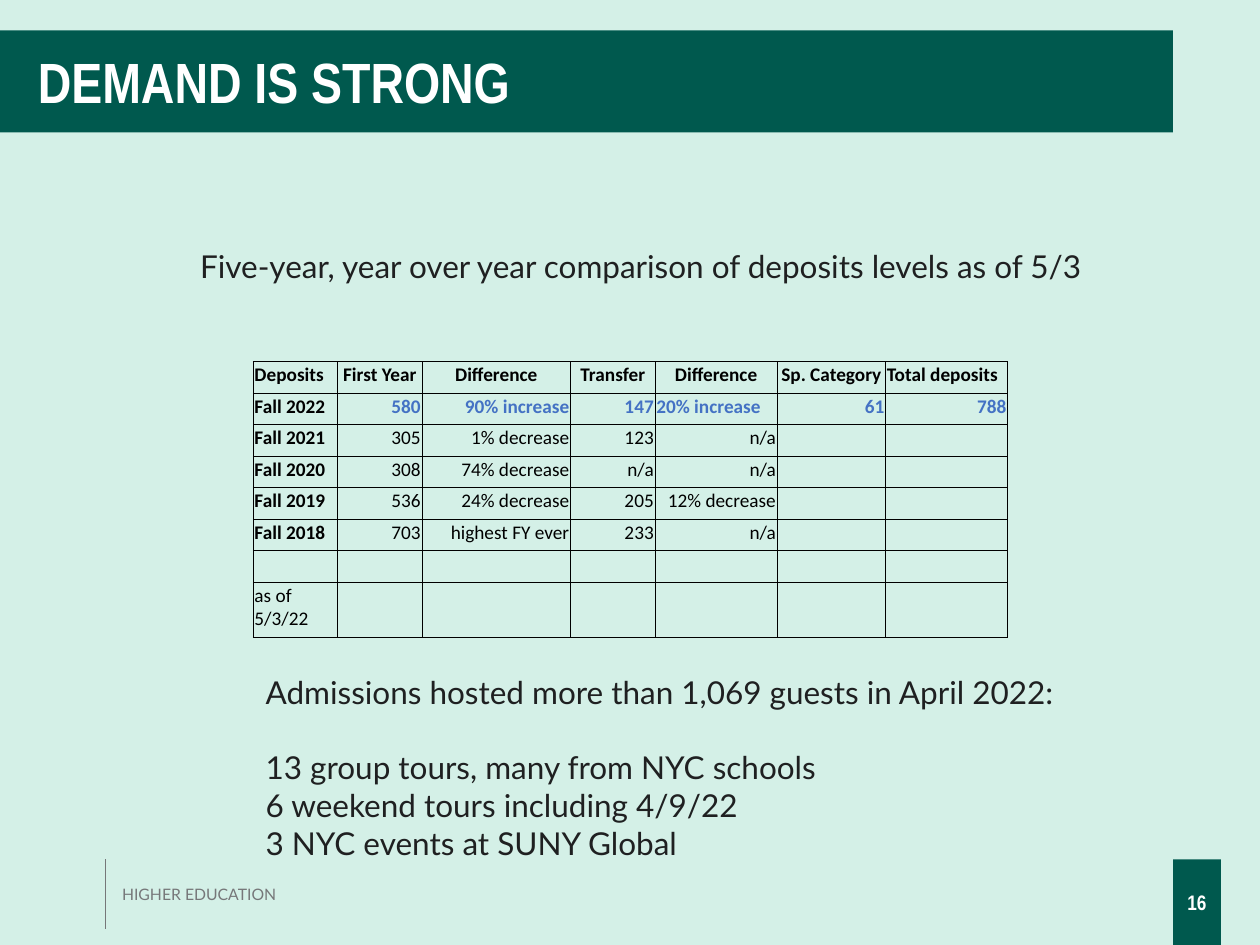
from lxml import etree
from pptx import Presentation
from pptx import util as u
from pptx.dml.color import RGBColor
from pptx.enum import shapes, text
from pptx.oxml import ns

MINT = RGBColor(0xD4, 0xF0, 0xE7)
GREEN = RGBColor(0x00, 0x59, 0x4E)
GREY = RGBColor(0x76, 0x77, 0x79)
INK = RGBColor(0x1F, 0x20, 0x21)
BLUE = RGBColor(0x44, 0x72, 0xC4)
BLACK = RGBColor(0, 0, 0)
WHITE = RGBColor(0xFF, 0xFF, 0xFF)
LEFT, CENTER, RIGHT = text.PP_ALIGN.LEFT, text.PP_ALIGN.CENTER, text.PP_ALIGN.RIGHT

COLUMN_WIDTHS = [0.67, 0.67, 1.18, 0.67, 0.97, 0.86, 0.97]
ROW_HEIGHTS = [0.25] * 7 + [0.44]
DEPOSITS = [
    ["Deposits", "First Year", "Difference", "Transfer", "Difference", "Sp. Category", "Total deposits"],
    ["Fall 2022", "580", "90% increase", "147", "20% increase", "61", "788"],
    ["Fall 2021", "305", "1% decrease", "123", "n/a", "", ""],
    ["Fall 2020", "308", "74% decrease", "n/a", "n/a", "", ""],
    ["Fall 2019", "536", "24% decrease", "205", "12% decrease", "", ""],
    ["Fall 2018", "703", "highest FY ever", "233", "n/a", "", ""],
    [""] * 7,
    ["as of 5/3/22"] + [""] * 6,
]
LEFT_ALIGNED = {(0, 6), (1, 4)}


def set_font(paragraph, name, size, color, bold=False):
    """Format all the text of a paragraph."""
    font = paragraph.font
    font.name, font.size, font.bold = name, u.Pt(size), bold
    font.color.rgb = color


def place(shape, left, top, width, height):
    """Move and size a shape, in inches."""
    shape.left, shape.top = u.Inches(left), u.Inches(top)
    shape.width, shape.height = u.Inches(width), u.Inches(height)


def add_title(slide, wording):
    """Turn the title placeholder into the green banner."""
    banner = slide.shapes.title
    place(banner, 0, 0.24, 9.31, 0.81)
    banner.fill.solid()
    banner.fill.fore_color.rgb = GREEN
    frame = banner.text_frame
    frame.text = wording
    frame.auto_size = text.MSO_AUTO_SIZE.NONE
    frame.vertical_anchor = text.MSO_ANCHOR.MIDDLE
    frame.margin_left = u.Inches(0.3)
    frame.paragraphs[0].alignment = LEFT
    set_font(frame.paragraphs[0], "Arial Narrow", 32.4, WHITE, True)


def add_text(slide, box, lines, name, size, color, bold=False, align=LEFT, anchor=text.MSO_ANCHOR.TOP):
    """Add a wrapped text box with one paragraph per line."""
    frame = slide.shapes.add_textbox(*map(u.Inches, box)).text_frame
    frame.word_wrap = True
    frame.vertical_anchor = anchor
    frame.text = "\n".join(lines)
    for paragraph in frame.paragraphs:
        paragraph.alignment = align
        set_font(paragraph, name, size, color, bold)
    return frame


def add_footer_marks(slide):
    """Draw the page number block and the footer rule."""
    block = slide.shapes.add_shape(
        shapes.MSO_SHAPE.RECTANGLE, *map(u.Inches, (9.31, 6.82, 0.38, 0.68)))
    block.shadow.inherit = False
    block.fill.solid()
    block.fill.fore_color.rgb = GREEN
    block.line.fill.background()
    rule = slide.shapes.add_connector(
        shapes.MSO_CONNECTOR.STRAIGHT, *map(u.Inches, (0.84, 6.82, 0.84, 7.37)))
    rule.line.color.rgb = GREY
    rule.line.width = u.Pt(0.75)
    etree.SubElement(rule._element.spPr, ns.qn("a:effectLst"))


def add_borders(cell):
    """Give a cell thin black borders on all sides."""
    properties = cell._tc.get_or_add_tcPr()
    for side in ("lnL", "lnR", "lnT", "lnB"):
        border = etree.SubElement(properties, ns.qn(f"a:{side}"), w=str(u.Pt(0.5)))
        fill = etree.SubElement(border, ns.qn("a:solidFill"))
        etree.SubElement(fill, ns.qn("a:srgbClr"), val=str(BLACK))


def fill_cell(cell, wording, row, column):
    """Write and format one cell of the deposits table."""
    cell.margin_left = cell.margin_right = cell.margin_top = u.Inches(0.01)
    cell.margin_bottom = u.Inches(0.05)
    cell.vertical_anchor = text.MSO_ANCHOR.BOTTOM
    add_borders(cell)
    cell.fill.background()
    cell.text = wording
    paragraph = cell.text_frame.paragraphs[0]
    if column == 0 or (row, column) in LEFT_ALIGNED:
        paragraph.alignment = LEFT
    else:
        paragraph.alignment = CENTER if row == 0 else RIGHT
    bold = row < 2 or (column == 0 and row < 6)
    set_font(paragraph, "Calibri", 11, BLUE if row == 1 and column else BLACK, bold)


def add_deposits_table(slide):
    """Add the table of deposits by year."""
    box = (2.01, 2.87, sum(COLUMN_WIDTHS), sum(ROW_HEIGHTS))
    table = slide.shapes.add_table(
        len(ROW_HEIGHTS), len(COLUMN_WIDTHS), *map(u.Inches, box)).table
    table.first_row = table.horz_banding = False
    for column, width in zip(table.columns, COLUMN_WIDTHS):
        column.width = u.Inches(width)
    for row, height in zip(table.rows, ROW_HEIGHTS):
        row.height = u.Inches(height)
    for r, values in enumerate(DEPOSITS):
        for c, wording in enumerate(values):
            fill_cell(table.cell(r, c), wording, r, c)


def main():
    """Build and save the slide."""
    deck = Presentation()
    deck.slide_width, deck.slide_height = u.Inches(10), u.Inches(7.5)
    slide = deck.slides.add_slide(deck.slide_layouts[5])
    slide.background.fill.solid()
    slide.background.fill.fore_color.rgb = MINT

    add_footer_marks(slide)
    add_text(slide, (0.87, 6.97, 2.05, 0.25), ["HIGHER EDUCATION"], "Lato", 9, GREY)
    add_title(slide, "DEMAND IS STRONG")
    add_deposits_table(slide)
    add_text(slide, (9.25, 6.95, 0.5, 0.42), ["16"], "Arial Narrow", 12, WHITE,
             True, CENTER, text.MSO_ANCHOR.MIDDLE)
    add_text(slide, (1.49, 1.91, 7.3, 0.4),
             ["Five-year, year over year comparison of deposits levels as of 5/3"],
             "Lato", 18, INK)
    admissions = add_text(slide, (2.01, 5.29, 6.53, 1.62), [
        "Admissions hosted more than 1,069 guests in April 2022:",
        "13 group tours, many from NYC schools",
        "6 weekend tours including 4/9/22",
        "3 NYC events at SUNY Global",
    ], "Lato", 18, INK)
    admissions.paragraphs[1].space_before = u.Pt(21.6)
    deck.save("out.pptx")


if __name__ == "__main__":
    main()
